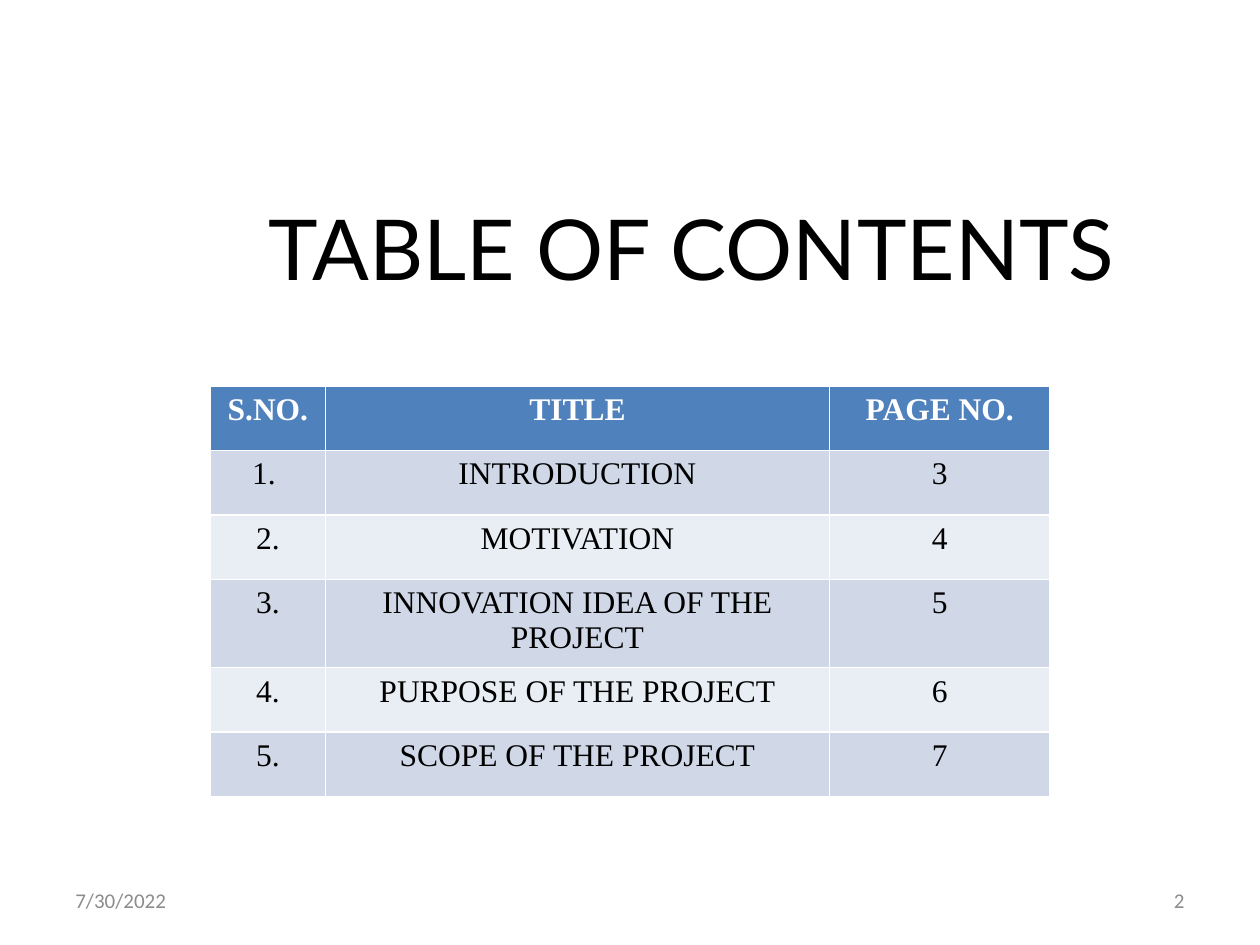
from pptx import Presentation
from pptx.dml.color import RGBColor
from pptx.enum.text import MSO_ANCHOR, PP_ALIGN
from pptx.util import Cm, Pt

BLACK = RGBColor(0x00, 0x00, 0x00)
WHITE = RGBColor(0xFF, 0xFF, 0xFF)
GREY = RGBColor(0x8C, 0x8C, 0x8C)
BLUE = RGBColor(0x4F, 0x81, 0xBD)
BANDS = (RGBColor(0xD0, 0xD8, 0xE8), RGBColor(0xE9, 0xED, 0xF4))

COLUMN_WIDTHS = (Cm(2.32), Cm(10.16), Cm(4.45))
ROW_HEIGHT = Cm(1.3)
CONTENTS = (
    ("S.NO.", "TITLE", "PAGE NO."),
    ("1. ", "INTRODUCTION", "3"),
    ("2.", "MOTIVATION", "4"),
    ("3.", "INNOVATION IDEA OF THE PROJECT", "5"),
    ("4.", "PURPOSE OF THE PROJECT", "6"),
    ("5.", "SCOPE OF THE PROJECT", "7"),
)


def write_text(frame, text, *, font, size, color, align, bold=False):
    """Write one formatted paragraph into a text frame."""
    para = frame.paragraphs[0]
    para.alignment = align
    span = para.add_run()
    span.text = text
    span.font.name = font
    span.font.size = Pt(size)
    span.font.bold = bold
    span.font.color.rgb = color


def set_title(page, text):
    """Place the title and shift its centre right with a wider left inset."""
    title = page.shapes.title
    title.left, title.top = Cm(1.27), Cm(3.38)
    title.width, title.height = Cm(22.86), Cm(3.18)
    frame = title.text_frame
    frame.word_wrap = True
    frame.vertical_anchor = MSO_ANCHOR.MIDDLE
    frame.margin_left = Cm(2.74)
    write_text(frame, text, font="Lato", size=48, color=BLACK, align=PP_ALIGN.CENTER)


def add_contents_table(page, rows):
    """Add the contents table with a header row and banded entries."""
    table = page.shapes.add_table(
        len(rows), len(COLUMN_WIDTHS), Cm(4.24), Cm(7.78),
        sum(COLUMN_WIDTHS), ROW_HEIGHT * len(rows),
    ).table
    for column, width in zip(table.columns, COLUMN_WIDTHS):
        column.width = width
    for row_index, texts in enumerate(rows):
        header = row_index == 0
        table.rows[row_index].height = ROW_HEIGHT
        for cell, text in zip(table.rows[row_index].cells, texts):
            cell.fill.solid()
            cell.fill.fore_color.rgb = BLUE if header else BANDS[(row_index - 1) % 2]
            write_text(
                cell.text_frame, text, font="Times New Roman", size=18,
                color=WHITE if header else BLACK, align=PP_ALIGN.CENTER, bold=header,
            )


def add_footer(page, text, left, align):
    """Add a small grey text box on the footer line."""
    box = page.shapes.add_textbox(left, Cm(17.65), Cm(5.93), Cm(1.01))
    frame = box.text_frame
    frame.word_wrap = True
    frame.vertical_anchor = MSO_ANCHOR.MIDDLE
    write_text(frame, text, font="Calibri", size=12, color=GREY, align=align)


def main():
    """Build the contents slide and save the deck."""
    deck = Presentation()
    deck.slide_width, deck.slide_height = Cm(25.4), Cm(19.05)
    page = deck.slides.add_slide(deck.slide_layouts[5])
    set_title(page, "TABLE OF CONTENTS")
    add_footer(page, "7/30/2022", Cm(1.27), PP_ALIGN.LEFT)
    add_footer(page, "2", Cm(18.2), PP_ALIGN.RIGHT)
    add_contents_table(page, CONTENTS)
    deck.save("out.pptx")


if __name__ == "__main__":
    main()
